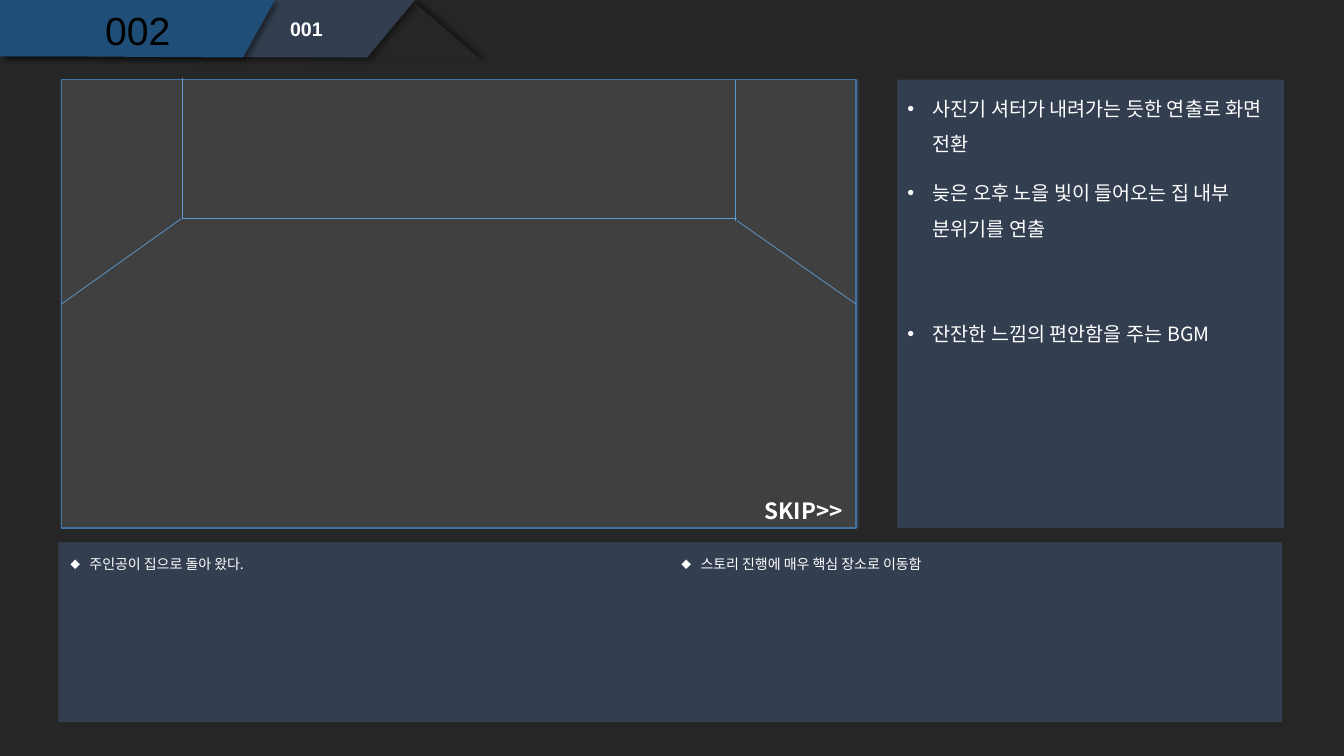
from lxml.etree import SubElement
from pptx import Presentation
from pptx.dml.color import RGBColor
from pptx.enum.shapes import MSO_CONNECTOR as Connector, MSO_SHAPE as Shape
from pptx.enum.text import MSO_ANCHOR as Anchor, MSO_AUTO_SIZE as AutoSize, PP_ALIGN as Align
from pptx.oxml import parse_xml
from pptx.oxml.ns import nsdecls, qn
from pptx.util import Cm, Pt

NAVY, DARK, WHITE = "333F50", "262626", "FFFFFF"
KOREAN = "Noto Sans CJK KR"


def paint(color_format, color):
    color_format.rgb = RGBColor.from_string(color)


def write(box, lines, style, color=WHITE, align=Align.LEFT, spacing=1.0,
          anchor=Anchor.TOP, wrap=True, bullet=None):
    frame = box.text_frame
    frame.text = "\n".join(lines)
    frame.word_wrap, frame.auto_size, frame.vertical_anchor = wrap, AutoSize.NONE, anchor
    for number, paragraph in enumerate(frame.paragraphs):
        if bullet:
            symbol, size, indent = bullet
            props = paragraph._p.get_or_add_pPr()
            props.set("marL", str(Cm(indent)))
            props.set("indent", str(-Cm(indent)))
            SubElement(props, qn("a:buSzPct"), val=str(size * 1000))
            SubElement(props, qn("a:buFont"), typeface=KOREAN if symbol == "◆" else "Arial")
            SubElement(props, qn("a:buChar"), char=symbol)
        paragraph.alignment, paragraph.line_spacing = align, spacing
        paragraph.space_before, paragraph.space_after = Pt(10 if number else 0), Pt(0)
        for run in paragraph.runs:
            for attribute, value in style.items():
                setattr(run.font, attribute, value)
            paint(run.font.color, color)
            SubElement(run.font._element, qn("a:ea"), typeface=style["name"])


deck = Presentation()
deck.slide_width, deck.slide_height = Cm(33.87), Cm(19.05)
slide = deck.slides.add_slide(deck.slide_layouts[4])
shapes = slide.shapes
scene_title, *lists = slide.placeholders
slide.background.fill.solid()
paint(slide.background.fill.fore_color, DARK)

# Header tabs, each casting a soft shadow
fold = shapes.add_shape(Shape.ISOSCELES_TRIANGLE, Cm(8.79), Cm(0.08), Cm(3.35), Cm(1.45))
tabs = [(fold, DARK, 315)]
for outline, color in [
    ([(0.13, 0), (10.46, 0), (9.25, 1.45), (2.29, 1.42), (0.13, 1.42)], NAVY),
    ([(0, 0), (6.93, 0), (6.12, 1.45), (1.45, 1.42), (0, 1.42)], "1F4E79"),
]:
    start, *corners = [(Cm(x), Cm(y)) for x, y in outline]
    builder = shapes.build_freeform(*start)
    builder.add_line_segments(corners, close=True)
    tabs.append((builder.convert_to_shape(), color, 45))
for tab, color, angle in tabs:
    tab.fill.solid()
    paint(tab.fill.fore_color, color)
    tab.line.fill.background()
    tab._element.spPr.append(parse_xml(
        f'<a:effectLst {nsdecls("a")}><a:outerShdw blurRad="{Pt(4)}" dist="{Pt(3)}" '
        f'dir="{angle * 60000}" algn="ctr" rotWithShape="0"><a:srgbClr val="000000">'
        '<a:alpha val="40000"/></a:srgbClr></a:outerShdw></a:effectLst>'))

# Panels; the last one is the stage of the scene
for place, color in [
    ((1.52, 2.01, 20.12, 11.3), NAVY),
    ((22.61, 2.01, 9.75, 11.3), NAVY),
    ((1.47, 13.67, 30.84, 4.52), NAVY),
    ((1.55, 2.01, 20.02, 11.3), "404040"),
]:
    stage = shapes.add_shape(Shape.RECTANGLE, *map(Cm, place))
    stage.shadow.inherit = False
    stage.fill.solid()
    paint(stage.fill.fore_color, color)
    stage.line.fill.background()
paint(stage.line.color, "43739E")
stage.line.width = Pt(1)

# Room edges; the floor edges start at the middle of the stage sides
for ends, side in [
    ((1.55, 7.66, 4.57, 5.51), 1),
    ((4.6, 5.51, 4.6, 1.96), None),
    ((4.6, 5.51, 18.57, 5.51), None),
    ((21.57, 7.66, 18.57, 5.56), 3),
    ((18.54, 5.56, 18.54, 2.01), None),
]:
    edge = shapes.add_connector(Connector.STRAIGHT, *map(Cm, ends))
    if side:
        edge.begin_connect(stage, side)
    paint(edge.line.color, "5B9BD5")
    edge.line.width = Pt(0.5)
    SubElement(edge._element.spPr, qn("a:effectLst"))

# Scene number, cut number and skip button
cut = shapes.add_textbox(Cm(7.06), Cm(0.38), Cm(2.54), Cm(0.81))
write(cut, ["001"], {"name": "Arial", "size": Pt(14), "bold": True}, spacing=0.9)
skip = shapes.add_textbox(Cm(19.02), Cm(12.4), Cm(2.54), Cm(0.94))
write(skip, ["SKIP>>"], {"name": KOREAN, "size": Pt(16), "bold": True}, wrap=False)
write(scene_title, ["002"], {"name": "Arial", "size": Pt(28), "bold": False},
      "000000", Align.CENTER, 0.9, Anchor.MIDDLE)

# Direction notes on the right, story notes below
dot, diamond = ("•", 100, 0.64), ("◆", 70, 0.48)
notes = [
    (["사진기 셔터가 내려가는 듯한 연출로 화면 전환",
      "늦은 오후 노을 빛이 들어오는 집 내부 분위기를 연출"], 14, dot),
    (["잔잔한 느낌의 편안함을 주는 BGM"], 14, dot),
    (["주인공이 집으로 돌아 왔다."], 10, diamond),
    (["스토리 진행에 매우 핵심 장소로 이동함"], 10, diamond),
]
for note, (lines, size, bullet) in zip(lists, notes):
    write(note, lines, {"name": KOREAN, "size": Pt(size), "bold": False},
          spacing=1.5, bullet=bullet)

# Place the placeholders above the panels
places = [(1.55, 0.15, 3.84, 1.35), (22.61, 2.01, 9.75, 5.61), (22.61, 7.7, 9.78, 5.61),
          (1.52, 13.67, 15.39, 4.52), (16.92, 13.67, 15.39, 4.52)]
for holder, place in zip([scene_title, *lists], places):
    holder.left, holder.top, holder.width, holder.height = map(Cm, place)
    shapes.element.append(holder.element)

deck.save("out.pptx")
